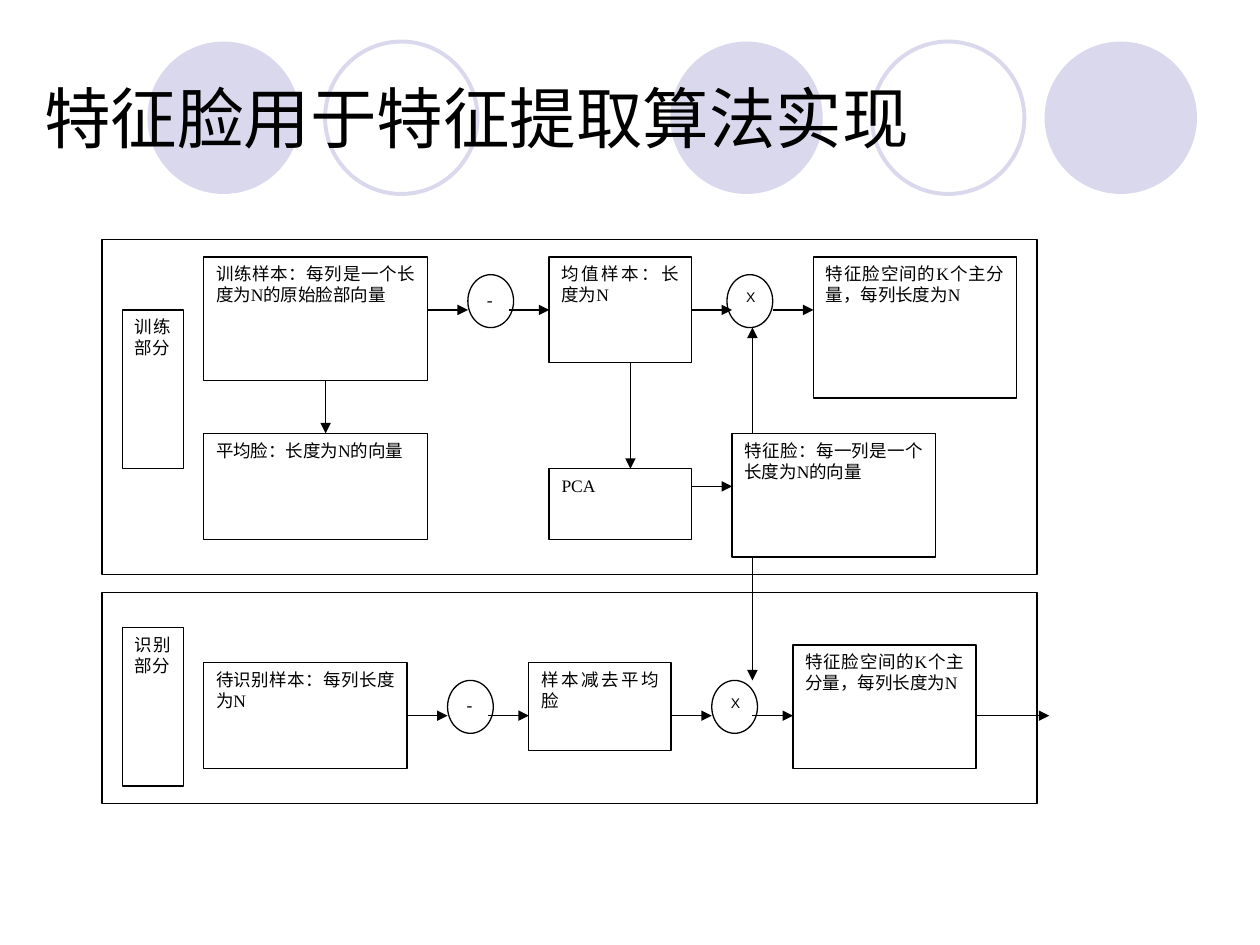
from lxml.etree import SubElement
from pptx import Presentation
from pptx.dml.color import RGBColor
from pptx.enum.shapes import MSO_CONNECTOR, MSO_SHAPE
from pptx.enum.text import MSO_ANCHOR, MSO_AUTO_SIZE, PP_ALIGN
from pptx.oxml.ns import qn
from pptx.util import Inches, Pt

BLACK, WHITE, LILAC = "000000", "FFFFFF", "D9D8EC"
SERIF, SANS = "Times New Roman", "Arial"
COLS, ROWS_TRAIN, ROWS_TEST = 46, 19, 12
COL, ROW = 7.42 / COLS, 0.14
LEFT, TOP = 0.81, 1.9
NODE_W, NODE_H = 2.25, 3


def color(value):
    """Turn a hex string into a colour."""
    return RGBColor.from_string(value)


def write(s, text, size=10, font=SERIF, align=PP_ALIGN.JUSTIFY, anchor=MSO_ANCHOR.TOP):
    """Put one formatted paragraph in a shape."""
    tf = s.text_frame
    tf.word_wrap = True
    tf.auto_size = MSO_AUTO_SIZE.NONE
    tf.vertical_anchor = anchor
    tf.margin_left = tf.margin_right = Inches(0.1)
    tf.margin_top = tf.margin_bottom = Inches(0.05)
    p = tf.paragraphs[0]
    p.alignment = align
    r = p.add_run()
    r.text = text
    r.font.size = Pt(size)
    r.font.name = font
    r.font.color.rgb = color(BLACK)


def add_shape(slide, kind, box, fill=None, line=None, width=0.75):
    """Add a preset shape in a box given in inches."""
    s = slide.shapes.add_shape(kind, *map(Inches, box))
    s.shadow.inherit = False
    if fill:
        s.fill.solid()
        s.fill.fore_color.rgb = color(fill)
    else:
        s.fill.background()
    if line:
        s.line.color.rgb = color(line)
        s.line.width = Pt(width)
    else:
        s.line.fill.background()
    return s


def add_box(slide, origin, cell, text=None, kind=MSO_SHAPE.RECTANGLE, **style):
    """Add an outlined box at column, row, width and height on a panel's grid."""
    (x, y), (c, r, w, h) = origin, cell
    box = x + c * COL, y + r * ROW, w * COL, h * ROW
    s = add_shape(slide, kind, box, WHITE, BLACK)
    if text:
        write(s, text, **style)


def add_node(slide, origin, col, row, text, **style):
    """Add a round operator node on a panel's grid."""
    add_box(slide, origin, (col, row, NODE_W, NODE_H), text, MSO_SHAPE.OVAL, **style)


def add_arrow(slide, origin, c1, r1, c2, r2):
    """Add an arrow between two grid points of a panel."""
    x, y = origin
    ends = x + c1 * COL, y + r1 * ROW, x + c2 * COL, y + r2 * ROW
    s = slide.shapes.add_connector(MSO_CONNECTOR.STRAIGHT, *map(Inches, ends))
    s.line.color.rgb = color(BLACK)
    s.line.width = Pt(0.75)
    SubElement(s.line._get_or_add_ln(), qn("a:tailEnd"), type="triangle")
    SubElement(s._element.spPr, qn("a:effectLst"))


def add_header(slide, box):
    """Draw the row of circles with the title in front."""
    for x in (5.32, 8.29, 1.17):
        add_shape(slide, MSO_SHAPE.OVAL, (x, 0.33, 1.21, 1.21), LILAC)
    for x in (6.92, 2.58):
        add_shape(slide, MSO_SHAPE.OVAL, (x, 0.33, 1.21, 1.21), line=LILAC, width=2.25)
    s = slide.shapes.title
    s.left, s.top, s.width, s.height = map(Inches, box)
    write(s, "特征脸用于特征提取算法实现", size=38, font=SANS,
          align=PP_ALIGN.LEFT, anchor=MSO_ANCHOR.MIDDLE)
    slide.shapes._spTree.append(s._element)


def add_training(slide, origin):
    """Draw the training panel."""
    add_box(slide, origin, (0, 0, COLS, ROWS_TRAIN))
    for cell, text in (
        ((1, 4, 3, 9), "训练部分"),
        ((5, 1, 11, 7), "训练样本：每列是一个长度为N的原始脸部向量"),
        ((5, 11, 11, 6), "平均脸：长度为N的向量"),
        ((22, 1, 7, 6), "均值样本：长度为N"),
        ((22, 13, 7, 4), "PCA"),
        ((31, 11, 10, 7), "特征脸：每一列是一个长度为N的向量"),
        ((35, 1, 10, 8), "特征脸空间的K个主分量，每列长度为N"),
    ):
        add_box(slide, origin, cell, text)
    add_node(slide, origin, 18, 2, "-")
    add_node(slide, origin, 30.75, 2, "X", size=8, font=SANS, align=PP_ALIGN.LEFT)
    for col in (16, 20, 29, 33):
        add_arrow(slide, origin, col, 4, col + 2, 4)
    add_arrow(slide, origin, 29, 14, 31, 14)
    add_arrow(slide, origin, 11, 8, 11, 11)
    add_arrow(slide, origin, 26, 7, 26, 13)
    add_arrow(slide, origin, 32, 11, 32, 5)


def add_recognition(slide, origin):
    """Draw the recognition panel."""
    add_box(slide, origin, (0, 0, COLS, ROWS_TEST))
    for cell, text in (
        ((1, 2, 3, 9), "识别部分"),
        ((5, 4, 10, 6), "待识别样本：每列长度为N"),
        ((21, 4, 7, 5), "样本减去平均脸"),
        ((34, 3, 9, 7), "特征脸空间的K个主分量，每列长度为N"),
    ):
        add_box(slide, origin, cell, text)
    add_node(slide, origin, 17, 5, "-")
    add_node(slide, origin, 30, 5, "X", size=8, font=SANS, align=PP_ALIGN.LEFT)
    for start, end in ((15, 17), (19, 21), (28, 30), (32, 34), (43, 46.6)):
        add_arrow(slide, origin, start, 7, end, 7)
    add_arrow(slide, origin, 32, -2, 32, 5)


def main():
    """Build and save the slide."""
    prs = Presentation()
    prs.slide_width, prs.slide_height = Inches(10), Inches(7.5)
    slide = prs.slides.add_slide(prs.slide_layouts[5])
    add_header(slide, (0.25, 0.3, 9, 1.25))
    add_training(slide, (LEFT, TOP))
    add_recognition(slide, (LEFT, TOP + (ROWS_TRAIN + 1) * ROW))
    prs.save("out.pptx")


if __name__ == "__main__":
    main()
